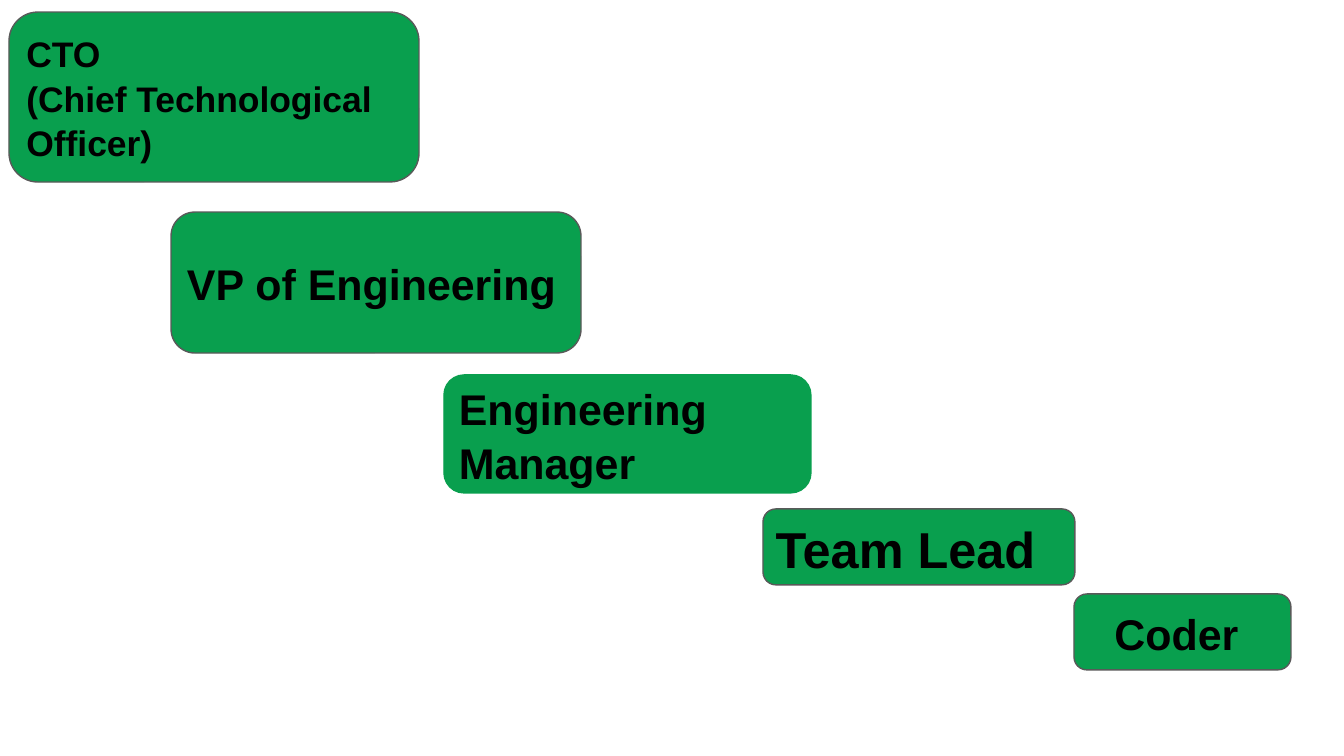
from pptx import Presentation
from pptx.dml.color import RGBColor
from pptx.enum.shapes import MSO_SHAPE
from pptx.enum.text import MSO_ANCHOR, PP_ALIGN
from pptx.util import Emu, Pt

COLORS = {"green": "099F4E", "gray": "595959", "black": "000000"}
EMU_PER_PX = 914400 / 134.4
SLIDE_SIZE = (1344, 756)
INSET = 9

ROLES = [
    (["CTO", "(Chief Technological Officer)"], (9, 12, 410, 170), 19, "gray", PP_ALIGN.LEFT),
    (["VP of Engineering"], (171, 212, 410, 141), 23, "gray", PP_ALIGN.LEFT),
    (["Engineering Manager"], (444, 375, 367, 118), 23, "green", PP_ALIGN.LEFT),
    (["Coder "], (1074, 594, 217, 76), 23, "gray", PP_ALIGN.CENTER),
    (["Team Lead"], (763, 509, 312, 76), 27, "gray", PP_ALIGN.LEFT),
]


def px(length):
    return Emu(round(length * EMU_PER_PX))


def color(name):
    return RGBColor.from_string(COLORS[name])


def add_role(page, lines, place, size, outline, alignment):
    box = page.shapes.add_shape(MSO_SHAPE.ROUNDED_RECTANGLE, *map(px, place))
    box.adjustments[0] = 0.17
    box.shadow.inherit = False
    box.fill.solid()
    box.fill.fore_color.rgb = color("green")
    box.line.color.rgb = color(outline)
    box.line.width = Pt(0.75)

    frame = box.text_frame
    frame.word_wrap = True
    frame.vertical_anchor = MSO_ANCHOR.MIDDLE
    frame.margin_left = frame.margin_right = px(INSET)
    frame.margin_top = frame.margin_bottom = px(INSET)
    for index, line in enumerate(lines):
        para = frame.add_paragraph() if index else frame.paragraphs[0]
        para.alignment = alignment
        para.line_spacing = 1.05
        span = para.add_run()
        span.text = line
        span.font.name = "Arial"
        span.font.size = Pt(size)
        span.font.bold = True
        span.font.color.rgb = color("black")


def main():
    deck = Presentation()
    deck.slide_width, deck.slide_height = map(px, SLIDE_SIZE)
    page = deck.slides.add_slide(deck.slide_layouts[6])
    for role in ROLES:
        add_role(page, *role)
    deck.save("out.pptx")


if __name__ == "__main__":
    main()
